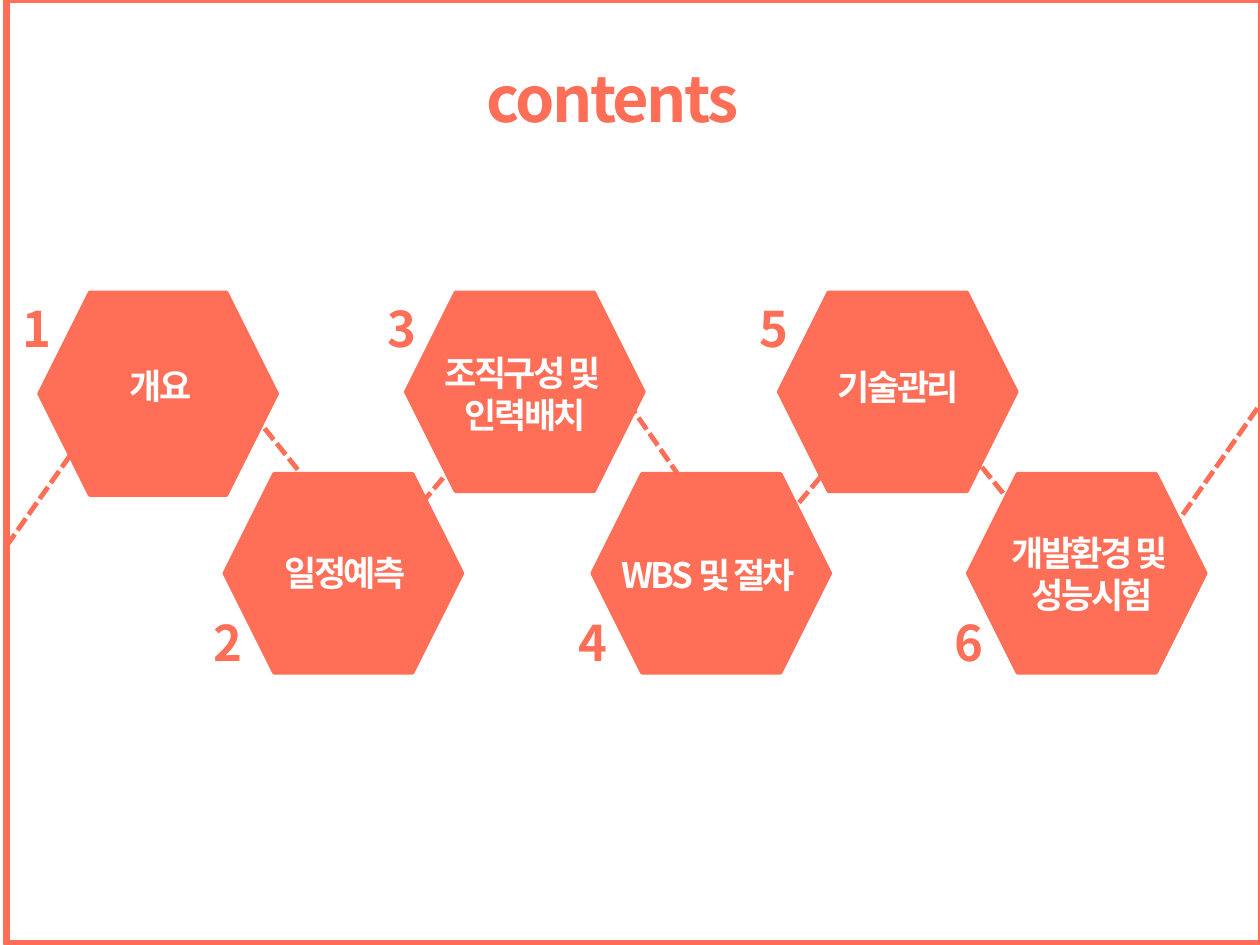
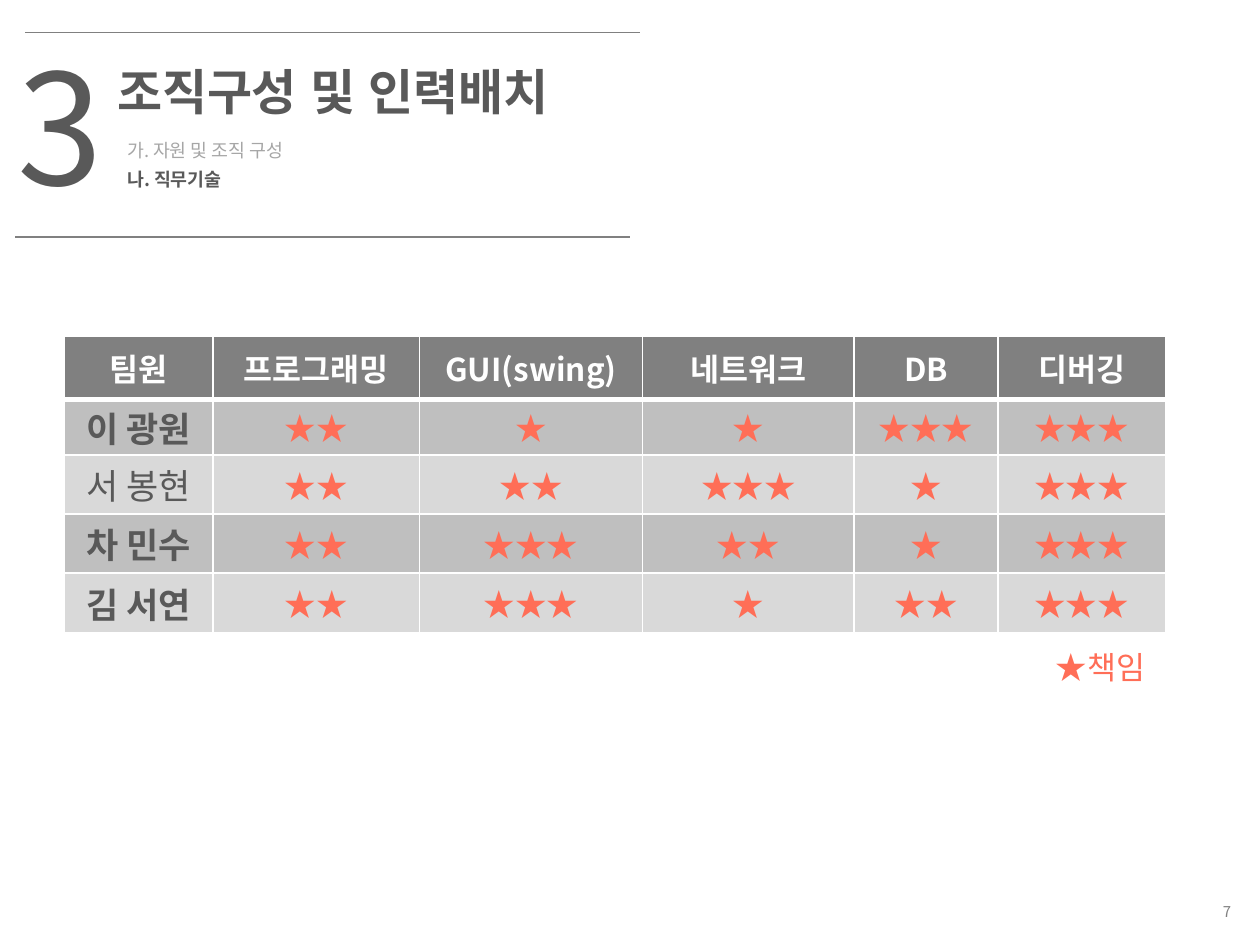
from lxml.etree import SubElement
from pptx import Presentation
from pptx.dml.color import RGBColor
from pptx.enum.dml import MSO_LINE
from pptx.enum.shapes import MSO_CONNECTOR, MSO_SHAPE
from pptx.enum.text import MSO_ANCHOR, MSO_AUTO_SIZE, PP_ALIGN
from pptx.oxml.ns import qn
from pptx.util import Emu, Pt

PX = 9144  # 100 px to the inch
FONT = "Noto Sans CJK KR"
CORAL, WHITE = "FF6E57", "FFFFFF"
DARK, GRAY, PALE = "595959", "808080", "A6A6A6"
BANDS = ["BFBFBF", "D9D9D9"]
LEFT, CENTER, RIGHT = PP_ALIGN.LEFT, PP_ALIGN.CENTER, PP_ALIGN.RIGHT


def px(*values):
    return [Emu(v * PX) for v in values]


def rgb(value):
    return RGBColor.from_string(value)


class Deck:
    """Holds the style and the current slide."""

    def __init__(self, width, height):
        self.prs = Presentation()
        self.prs.slide_width, self.prs.slide_height = px(width, height)
        self.s = None

    def new_slide(self, layout):
        self.s = self.prs.slides.add_slide(self.prs.slide_layouts[layout])

    def fill_text(self, tf, lines, size=18, color=DARK, bold=False, font=FONT,
                  align=LEFT, spc=0):
        """Fill a text frame, one paragraph a line."""
        for i, line in enumerate(lines):
            p = tf.paragraphs[0] if i == 0 else tf.add_paragraph()
            p.alignment = align
            r = p.add_run()
            r.text = line
            r.font.color.rgb = rgb(color)
            for name, value in dict(size=Pt(size), bold=bold, name=font).items():
                setattr(r.font, name, value)
            rpr = r.font._element
            SubElement(rpr, qn("a:ea")).set("typeface", font)
            if spc:
                rpr.set("spc", str(int(spc * 100)))

    def frame(self, sp, anchor=MSO_ANCHOR.TOP):
        """Give a text shape the common frame settings."""
        tf = sp.text_frame
        settings = dict(word_wrap=True, auto_size=MSO_AUTO_SIZE.NONE,
                        vertical_anchor=anchor)
        for name, value in settings.items():
            setattr(tf, name, value)
        return tf

    def place(self, sp, box):
        for name, value in zip(("left", "top", "width", "height"), px(*box)):
            setattr(sp, name, value)
        self.s.shapes._spTree.append(sp._element)  # bring to front
        return self.frame(sp)

    def title(self, text, box, **fmt):
        tf = self.place(self.s.shapes.title, box)
        self.fill_text(tf, [text], bold=True, **fmt)

    def body_list(self, items, current, box):
        """Outline list with the current item emphasised."""
        tf = self.place(self.s.placeholders[1], box)
        self.fill_text(tf, items, size=10.5, color=PALE)
        for p in tf.paragraphs:
            p.line_spacing, p.space_before = Pt(17), Pt(0)
            ppr = p._p.get_or_add_pPr()
            ppr.set("marL", str(38 * PX))
            ppr.set("indent", str(-38 * PX))
            SubElement(ppr, qn("a:buNone"))
        font = tf.paragraphs[current].runs[0].font
        font.bold, font.color.rgb = True, rgb(DARK)

    def text(self, lines, box, anchor=MSO_ANCHOR.TOP, **fmt):
        sp = self.s.shapes.add_textbox(*px(*box))
        self.fill_text(self.frame(sp, anchor), lines, **fmt)

    def shape(self, kind, box, fill, weight):
        sp = self.s.shapes.add_shape(kind, *px(*box))
        sp.shadow.inherit = False
        sp.fill.solid()
        sp.fill.fore_color.rgb = rgb(fill)
        sp.line.color.rgb = rgb(CORAL)
        sp.line.width = Pt(weight)

    def line(self, ends, color, weight, dash=None):
        c = self.s.shapes.add_connector(MSO_CONNECTOR.STRAIGHT, *px(*ends))
        c.line.color.rgb = rgb(color)
        c.line.width = Pt(weight)
        if dash:
            c.line.dash_style = dash
        SubElement(c._element.spPr, qn("a:effectLst"))

    def cell(self, cell, text, fill, bottom=1, **fmt):
        settings = dict(vertical_anchor=MSO_ANCHOR.MIDDLE,
                        margin_top=Emu(PX), margin_bottom=Emu(PX))
        for name, value in settings.items():
            setattr(cell, name, value)
        self.fill_text(cell.text_frame, [text], align=CENTER, **fmt)
        tcpr = cell._tc.get_or_add_tcPr()
        for side, weight in dict(L=1, R=1, T=1, B=bottom).items():
            ln = SubElement(tcpr, qn(f"a:ln{side}"), w=str(int(Pt(weight))))
            SubElement(SubElement(ln, qn("a:solidFill")), qn("a:srgbClr"), val=WHITE)
        cell.fill.solid()
        cell.fill.fore_color.rgb = rgb(fill)

    def table(self, left, top, widths, heights):
        shape = self.s.shapes.add_table(len(heights), len(widths), *px(
            left, top, sum(widths), sum(heights)))
        table = shape.table
        table.horz_banding = False
        for col, width in zip(table.columns, px(*widths)):
            col.width = width
        for row, height in zip(table.rows, px(*heights)):
            row.height = height
        return table


def contents_slide(deck):
    deck.new_slide(5)
    deck.shape(MSO_SHAPE.RECTANGLE, (5, 0, 996, 749), WHITE, 4)
    deck.title("contents", (367, 42, 239, 71), size=36, color=CORAL,
               align=CENTER, spc=-1.5)

    # Dashed path behind the hexagons
    for ends in [(82, 324, 4, 435), (210, 340, 296, 447), (401, 321, 291, 451),
                 (498, 319, 574, 428), (671, 355, 561, 486),
                 (760, 347, 842, 448), (998, 324, 920, 435)]:
        deck.line(ends, CORAL, 2.75, MSO_LINE.SQUARE_DOT)

    # Chapters: hexagon left, number left, label box, label lines
    chapters = [
        (31, 1, (55, 284, 145, 44), ["개요"]),
        (178, 153, (183, 433, 182, 44), ["일정예측"]),
        (322, 291, (322, 274, 190, 77), ["조직구성 및 ", "인력배치"]),
        (470, 443, (453, 434, 218, 44), ["WBS 및 절차"]),
        (618, 586, (637, 285, 152, 44), ["기술관리"]),
        (768, 741, (778, 417, 178, 77), ["개발환경 및 ", "성능시험"]),
    ]
    style = dict(bold=True, align=CENTER, spc=-1.5)
    for n, (hex_left, num_left, label_box, lines) in enumerate(chapters, 1):
        hex_top, num_top = (232, 232) if n % 2 else (376, 481)
        height = 161 if n == 1 else 158
        deck.shape(MSO_SHAPE.HEXAGON, (hex_left, hex_top, 189, height), CORAL, 2)
        deck.text(lines, label_box, size=20, color=WHITE, **style)
        deck.text([str(n)], (num_left, num_top, 56, 57), size=28, color=CORAL,
                  **style)


def skills_slide(deck):
    deck.new_slide(1)

    # Chapter heading between two rules
    for left, y in [(20, 26), (12, 188)]:
        deck.line((left, y, left + 488, y), GRAY, 0.75)
    deck.title("조직구성 및 인력배치", (83, 44, 449, 57), size=28, font="Arial")
    deck.text(["3"], (4, 20, 118, 158), size=88)
    deck.body_list(["가. 자원 및 조직 구성", "나. 직무기술"], 1, (91, 99, 457, 58))

    # Skill table: stars per member
    heads = ["팀원", "프로그래밍", "GUI(swing)", "네트워크", "DB", "디버깅"]
    members = {
        "이 광원": (2, 1, 1, 3, 3),
        "서 봉현": (2, 2, 3, 1, 3),
        "차 민수": (2, 3, 2, 1, 3),
        "김 서연": (2, 3, 1, 2, 3),
    }
    table = deck.table(51, 267, [118, 164, 177, 168, 114, 133],
                       [50, 44, 47, 47, 47])
    for col, head in enumerate(heads):
        deck.cell(table.cell(0, col), head, GRAY, bottom=3, color=WHITE, bold=True)
    for row, (member, stars) in enumerate(members.items(), 1):
        fill = BANDS[(row - 1) % 2]
        deck.cell(table.cell(row, 0), member, fill, size=20, bold=row != 2)
        for col, count in enumerate(stars, 1):
            deck.cell(table.cell(row, col), "★" * count, fill, color=CORAL)
    deck.text(["★책임"], (791, 509, 165, 40), color=CORAL, align=CENTER)

    # Page number
    deck.text(["7"], (776, 710, 211, 27), MSO_ANCHOR.MIDDLE, size=8.5,
              color=GRAY, align=RIGHT)


def main():
    deck = Deck(1000, 750)
    contents_slide(deck)
    skills_slide(deck)
    deck.prs.save("out.pptx")


if __name__ == "__main__":
    main()
